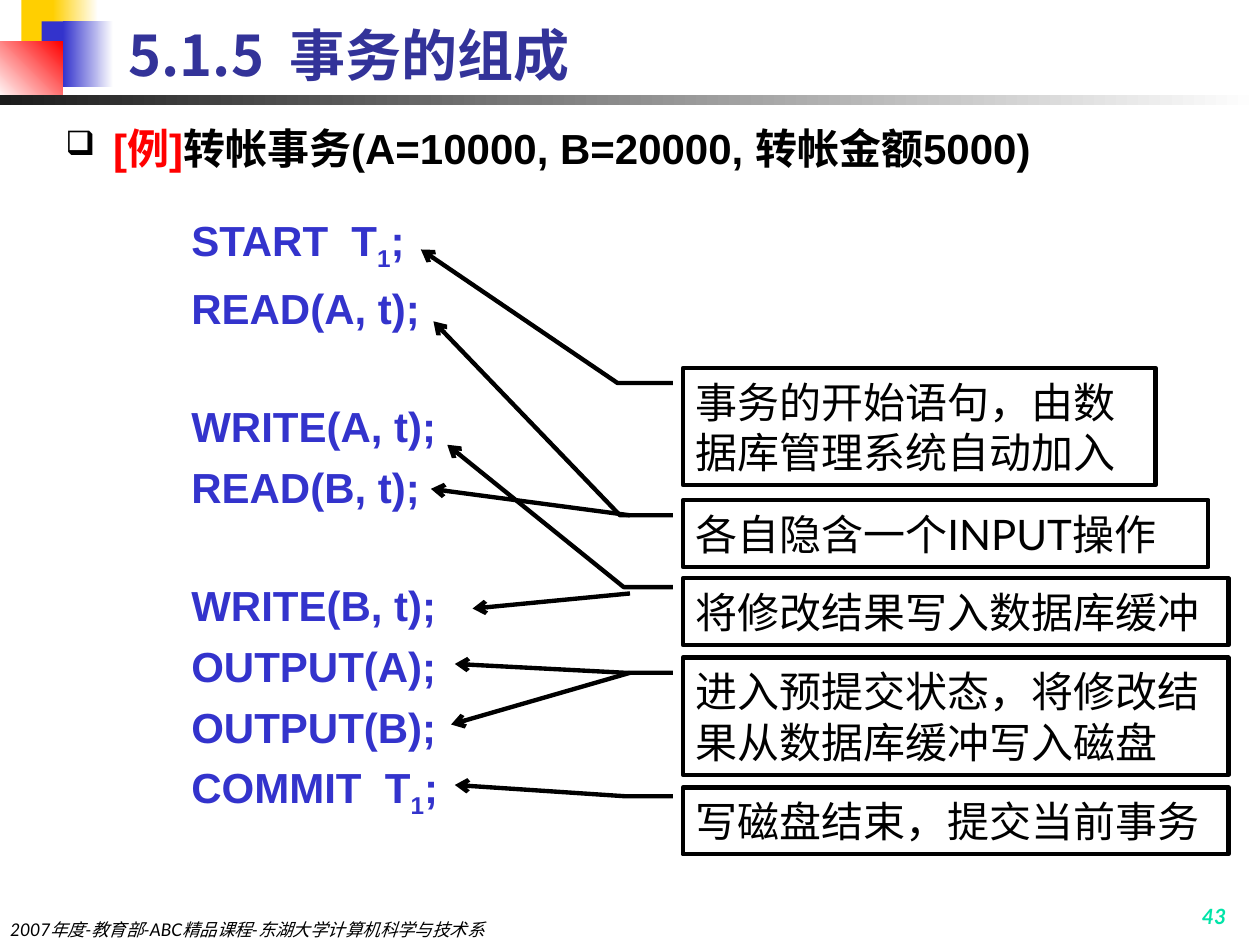
from lxml.etree import SubElement
from pptx import Presentation
from pptx.dml.color import RGBColor
from pptx.enum.shapes import MSO_CONNECTOR, MSO_SHAPE
from pptx.enum.text import MSO_ANCHOR, MSO_AUTO_SIZE, PP_ALIGN
from pptx.oxml.ns import qn
from pptx.util import Inches, Pt

# Content
TITLE = "5.1.5  事务的组成"
EXAMPLE = [("[例]", "FF0000"), ("转帐事务(A=10000, B=20000, 转帐金额5000)", "000000")]
FOOTER = "2007年度-教育部-ABC精品课程-东湖大学计算机科学与技术系"
PAGE = "43"

# Each step: parts (every second part is a subscript), space before in points
STEPS = [
    (["START  T", "1", ";"], 24),
    (["READ(A, t);"], 5.8),
    (["WRITE(A, t);"], 39),
    (["READ(B, t);"], 5.8),
    (["WRITE(B, t);"], 39),
    (["OUTPUT(A);"], 5.8),
    (["OUTPUT(B);"], 5.8),
    (["COMMIT  T", "1", ";"], 5.8),
]

# Each note: text, top, width, height, leader drop, elbow x, arrow tip, second arrow
NOTES = [
    ("事务的开始语句，由数据库管理系统自动加入", 2.92, 3.75, 0.93, 0.12, 4.9, (3.34, 1.98), None),
    ("各自隐含一个INPUT操作", 3.97, 4.17, 0.53, 0.12, 4.92, (3.44, 2.55),
     ((5, 4.09), (3.42, 3.88))),
    ("将修改结果写入数据库缓冲", 4.59, 4.33, 0.53, 0.07, 4.95, (3.55, 3.53),
     ((5, 4.71), (3.75, 4.83))),
    ("进入预提交状态，将修改结果从数据库缓冲写入磁盘", 5.22, 4.33, 0.93, 0.12, 4.96, (3.61, 5.27),
     ((5, 5.34), (3.58, 5.75))),
    ("写磁盘结束，提交当前事务", 6.25, 4.33, 0.53, 0.07, 4.96, (3.61, 6.23), None),
]
NOTE_LEFT = 5.42
LEADER_X = 5.34

# Each block: left, top, width, height, colours (two make a gradient), angle
DECORATION = [
    (0.17, 0, 0.48, 0.52, ["FFCF01"], 0),
    (0.42, 0, 0.36, 0.52, ["FFCF01", "FFFFFF"], 0),
    (0.33, 0.17, 0.46, 0.52, ["3333CC"], 0),
    (0.5, 0.17, 0.4, 0.52, ["3333CC", "FFFFFF"], 0),
    (0, 0.33, 0.5, 0.46, ["FFFFFF", "FF0000"], 45),
    (0, 0.75, 10, 0.08, ["1C1C1C", "FFFFFF"], 0),
]


def rgb(value):
    return RGBColor.from_string(value)


def add_run(paragraph, text, size, font, color, bold=False, italic=False):
    run = paragraph.add_run()
    run.text = text
    run.font.size, run.font.name = Pt(size), font
    run.font.bold, run.font.italic = bold, italic
    run.font.color.rgb = rgb(color)
    SubElement(run._r.get_or_add_rPr(), qn("a:ea")).set("typeface", "Noto Sans CJK SC")
    return run


def add_text(left, top, width, height, anchor=MSO_ANCHOR.TOP):
    box = slide.shapes.add_textbox(Inches(left), Inches(top), Inches(width), Inches(height))
    frame = box.text_frame
    frame.word_wrap = True
    frame.vertical_anchor = anchor
    return frame


def style_arrow(line):
    line.color.rgb = rgb("000000")
    line.width = Pt(2.5)
    SubElement(line._get_or_add_ln(), qn("a:tailEnd")).set("type", "arrow")


def indent(paragraph, left, first=0):
    props = paragraph._p.get_or_add_pPr()
    props.set("marL", str(Inches(left)))
    props.set("indent", str(Inches(first)))
    return props


prs = Presentation()
prs.slide_width, prs.slide_height = Inches(10), Inches(7.5)
slide = prs.slides.add_slide(prs.slide_layouts[5])

# Corner blocks and rule under the title
for left, top, width, height, colors, angle in DECORATION:
    block = slide.shapes.add_shape(
        MSO_SHAPE.RECTANGLE, Inches(left), Inches(top), Inches(width), Inches(height))
    block.shadow.inherit = False
    block.line.fill.background()
    if len(colors) == 1:
        block.fill.solid()
        block.fill.fore_color.rgb = rgb(colors[0])
    else:
        block.fill.gradient()
        block.fill.gradient_angle = angle
        for stop, color in zip(block.fill.gradient_stops, colors):
            stop.color.rgb = rgb(color)

# Title
title = slide.shapes.title
title.left, title.top = Inches(0.92), Inches(0.17)
title.width, title.height = Inches(8.52), Inches(0.58)
title.text_frame.vertical_anchor = MSO_ANCHOR.BOTTOM
title.text_frame.auto_size = MSO_AUTO_SIZE.NONE
heading = title.text_frame.paragraphs[0]
heading.alignment = PP_ALIGN.LEFT
add_run(heading, TITLE, 32, "Noto Sans CJK SC", "333399", bold=True)

# Example line and transaction steps
body = add_text(0.42, 0.92, 9.25, 5.75)
example = body.paragraphs[0]
example.space_before = Pt(2)
props = indent(example, 0.38, -0.38)
bullet_color = SubElement(props, qn("a:buClr"))
SubElement(bullet_color, qn("a:srgbClr")).set("val", "000000")
SubElement(props, qn("a:buSzPct")).set("val", "80000")
SubElement(props, qn("a:buChar")).set("char", "❑")
for text, color in EXAMPLE:
    add_run(example, text, 24, "Arial", color, bold=True)

for parts, gap in STEPS:
    step = body.add_paragraph()
    step.space_before = Pt(gap)
    indent(step, 1)
    for i, part in enumerate(parts):
        run = add_run(step, part, 24, "Arial", "3333CC", bold=True)
        if i % 2:
            run._r.get_or_add_rPr().set("baseline", "-25000")

# Notes with leader lines
for text, top, width, height, drop, elbow_x, tip, second_arrow in NOTES:
    note = slide.shapes.add_shape(
        MSO_SHAPE.LINE_CALLOUT_2, Inches(NOTE_LEFT), Inches(top), Inches(width), Inches(height))
    note.shadow.inherit = False
    note.fill.background()
    style_arrow(note.line)
    leader = [(LEADER_X, top + drop), (elbow_x, top + drop), tip]
    for i, (x, y) in enumerate(leader):
        note.adjustments[2 * i] = (y - top) / height
        note.adjustments[2 * i + 1] = (x - NOTE_LEFT) / width
    note.text_frame.word_wrap = True
    note.text_frame.vertical_anchor = MSO_ANCHOR.MIDDLE
    wording = note.text_frame.paragraphs[0]
    wording.alignment = PP_ALIGN.LEFT
    add_run(wording, text, 24, "Lato", "000000")

    if second_arrow:
        start, end = second_arrow
        arrow = slide.shapes.add_connector(
            MSO_CONNECTOR.STRAIGHT, *(Inches(value) for value in start + end))
        style_arrow(arrow.line)
        SubElement(arrow._element.spPr, qn("a:effectLst"))

# Footer and page number
footer = add_text(0.08, 7.29, 4.84, 0.17)
footer.margin_left = footer.margin_right = footer.margin_top = footer.margin_bottom = 0
add_run(footer.paragraphs[0], FOOTER, 10, "Lato", "000000", italic=True)
page = add_text(7.75, 7.17, 2.08, 0.25, MSO_ANCHOR.BOTTOM).paragraphs[0]
page.alignment = PP_ALIGN.RIGHT
add_run(page, PAGE, 12, "Lato", "00E4A8", bold=True, italic=True)

prs.save("out.pptx")
